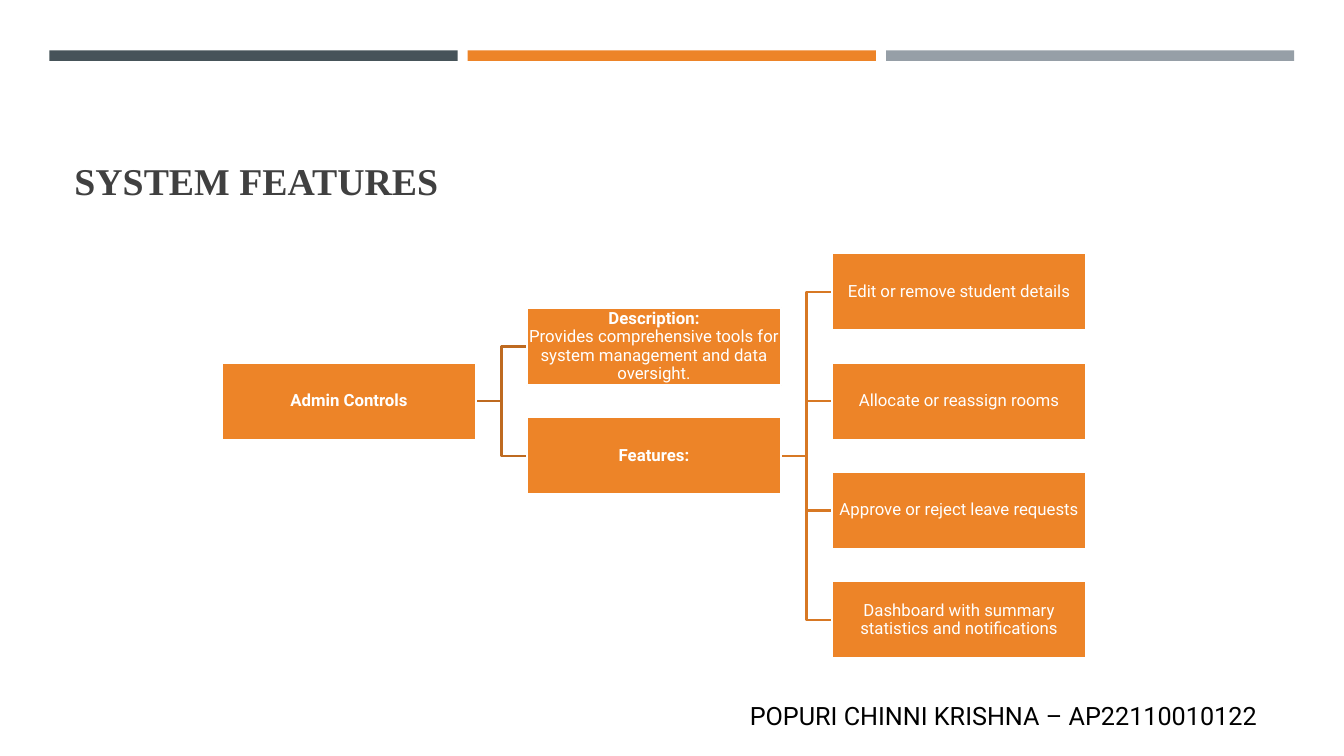
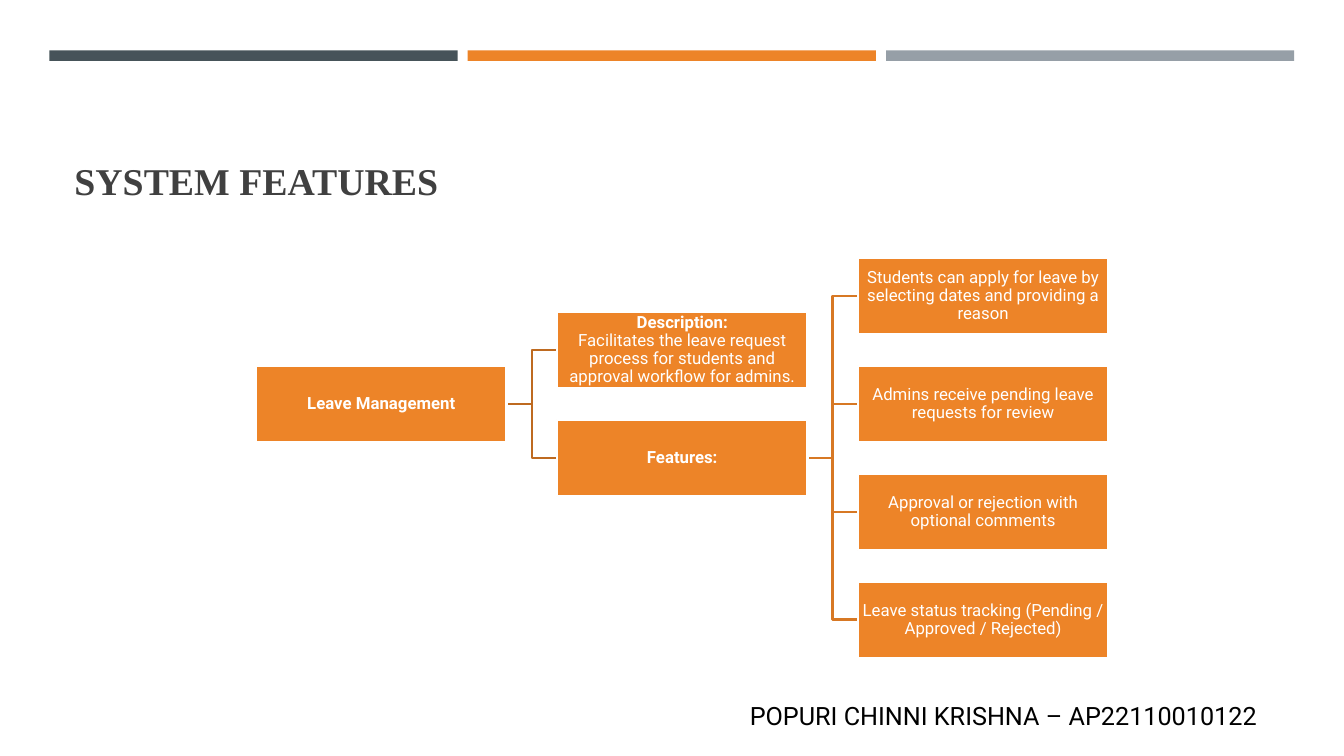
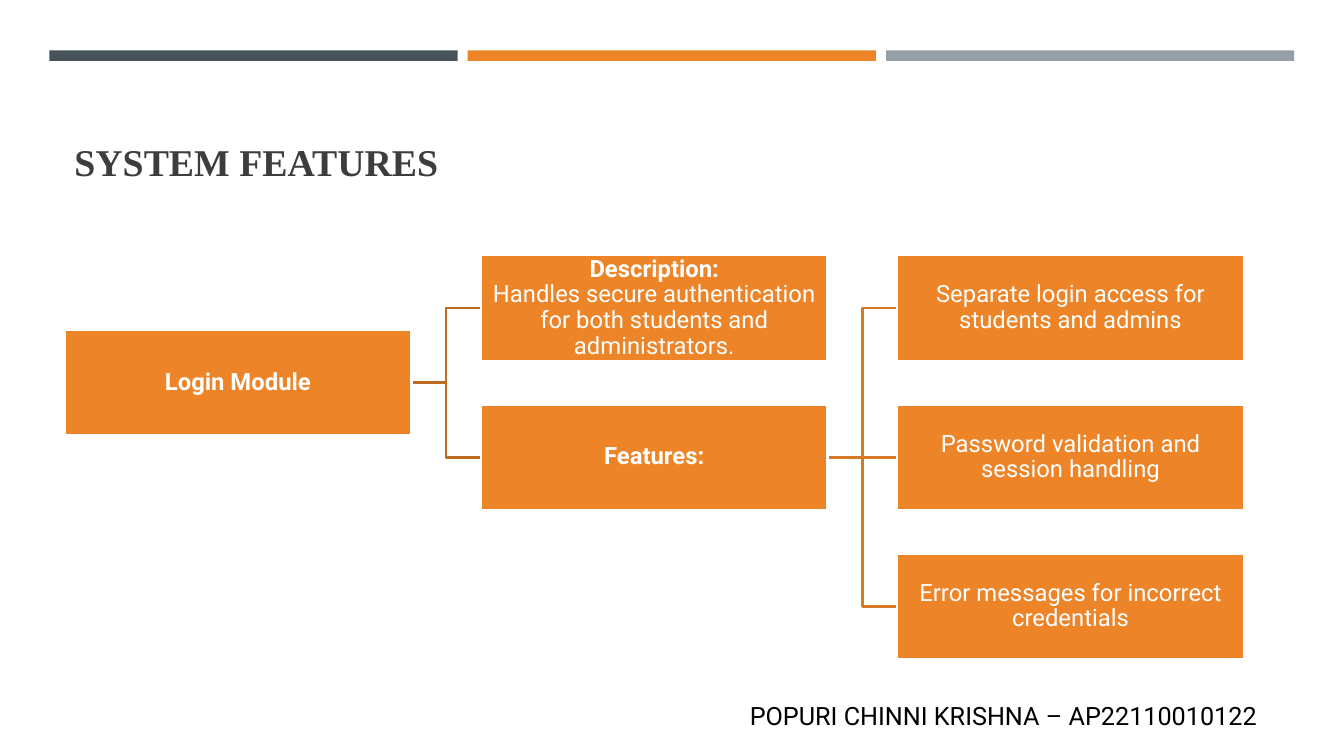
from lxml.etree import SubElement
from pptx import Presentation
from pptx.dml.color import RGBColor as Rgb
from pptx.enum.shapes import MSO_CONNECTOR as Link, MSO_SHAPE as Form
from pptx.enum.text import MSO_ANCHOR as Anchor, PP_ALIGN as Align
from pptx.oxml.ns import qn
from pptx.util import Pt

HUES = {
    "slate": "465359", "orange": "ED8428", "grey": "969FA7",
    "rust": "BE6A20", "amber": "D77824", "white": "FFFFFF",
    "black": "000000", "title": "404040", "dark": "3D3D3D",
}
RIGHT, LEFT = 3, 1  # connection sites of a rectangle


def hue(name):
    return Rgb.from_string(HUES[name])


class Deck:
    def __init__(self):
        self.prs = Presentation()
        self.prs.slide_width, self.prs.slide_height = Pt(960), Pt(540)
        self.slide = None

    def start(self, **title):
        """Add a slide with its bands, title and footer."""
        self.slide = self.prs.slides.add_slide(self.prs.slide_layouts[6])
        for i, name in enumerate(("slate", "orange", "grey")):
            self.rect(35.3 + i * 298.8, 36, 291.6, 7.5, name)
        self.title("SYSTEM FEATURES", **title)
        self.label("POPURI CHINNI KRISHNA – AP22110010122",
                   528.5, 496.8, 406, 29, size=Pt(18), name="Roboto")

    def rect(self, x, y, w, h, fill, edge=None):
        box = self.slide.shapes.add_shape(Form.RECTANGLE, Pt(x), Pt(y), Pt(w), Pt(h))
        box.shadow.inherit = False
        box.fill.solid()
        box.fill.fore_color.rgb = hue(fill)
        if edge:
            self.stroke(box.line, edge)
        else:
            box.line.fill.background()
        return box

    def stroke(self, line, tone):
        line.color.rgb = hue(tone)
        line.width = Pt(1.75)

    def put_run(self, para, text, tone, **form):
        run = para.add_run()
        run.text = text
        run.font.color.rgb = hue(tone)
        for key, value in form.items():
            setattr(run.font, key, value)

    def label(self, text, x, y, w, h, tone="black", anchor=Anchor.TOP,
              space=1.0, **form):
        frame = self.slide.shapes.add_textbox(Pt(x), Pt(y), Pt(w), Pt(h)).text_frame
        frame.word_wrap = True
        frame.vertical_anchor = anchor
        para = frame.paragraphs[0]
        para.line_spacing = space
        self.put_run(para, text, tone, **form)

    def title(self, text, w=868, h=93.6, tone="title"):
        self.label(text, 46.1, 55.4, w, h, tone, Anchor.BOTTOM, 0.9,
                   size=Pt(27), name="Times New Roman", bold=True)

    def node(self, x, y, w, h, size, head="", body=""):
        """Draw a box with a bold head, a plain body, or both."""
        box = self.rect(x, y, w, h, "orange", "white")
        frame = box.text_frame
        form = {"word_wrap": True, "vertical_anchor": Anchor.MIDDLE}
        form |= {f"margin_{side}": Pt(0.72)
                 for side in ("left", "right", "top", "bottom")}
        for key, value in form.items():
            setattr(frame, key, value)
        para = frame.paragraphs[0]
        para.alignment = Align.CENTER
        para.line_spacing = 0.9
        if head:
            self.put_run(para, head, "white", size=Pt(size), name="Roboto", bold=True)
        if head and body:
            para.add_line_break()
        if body:
            self.put_run(para, body, "white", size=Pt(size), name="Roboto", bold=False)
        return box

    def link(self, start, end, tone):
        """Link two boxes, right side to left side, behind everything else."""
        kind = Link.STRAIGHT if abs(start.top - end.top) < Pt(1) else Link.ELBOW
        wire = self.slide.shapes.add_connector(kind, 0, 0, 0, 0)
        wire.begin_connect(start, RIGHT)
        wire.end_connect(end, LEFT)
        self.stroke(wire.line, tone)
        node = wire.element
        SubElement(node.spPr, qn("a:effectLst"))
        node.getparent().insert(2, node)

    def tree(self, x, y, w, size, root, about, leaves):
        """Draw root, description and features; all steps follow the box width."""
        def put(col, row, **text):
            return self.node(x + col * 1.2 * w, y + row * 0.43 * w,
                             w, 0.305 * w, size, **text)

        mid = (len(leaves) - 1) / 2
        top = put(0, mid - 0.5, head=root)
        note = put(1, mid - 1, head="Description:", body=about)
        hub = put(1, mid, head="Features:")
        for child in (note, hub):
            self.link(top, child, "rust")
        for row, leaf in enumerate(leaves):
            self.link(hub, put(2, row, body=leaf), "amber")


def main():
    deck = Deck()

    deck.start()
    deck.tree(158.5, 180.8, 181.6, 12, "Admin Controls",
              "Provides comprehensive tools for system management and data oversight.",
              ["Edit or remove student details",
               "Allocate or reassign rooms",
               "Approve or reject leave requests",
               "Dashboard with summary statistics and notifications"])

    deck.start()
    deck.tree(182.9, 184.3, 179.1, 12, "Leave Management",
              "Facilitates the leave request process for students and "
              "approval workflow for admins.",
              ["Students can apply for leave by selecting dates and providing a reason",
               "Admins receive pending leave requests for review",
               "Approval or rejection with optional comments",
               "Leave status tracking (Pending / Approved / Rejected)"])

    deck.start(w=552, h=79.9, tone="dark")
    deck.tree(46.1, 182.3, 247.8, 17, "Login Module",
              "Handles secure authentication for both students and administrators.",
              ["Separate login access for students and admins",
               "Password validation and session handling",
               "Error messages for incorrect credentials"])

    deck.prs.save("out.pptx")


if __name__ == "__main__":
    main()
